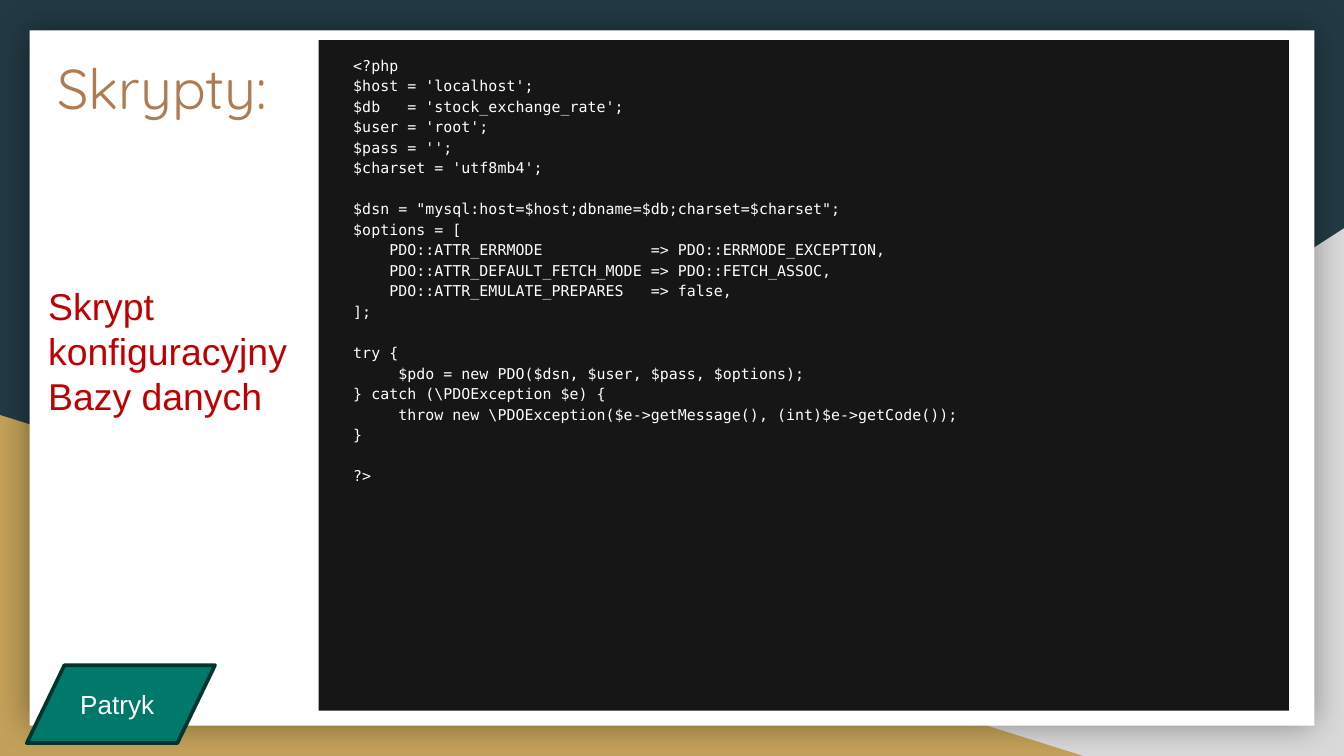
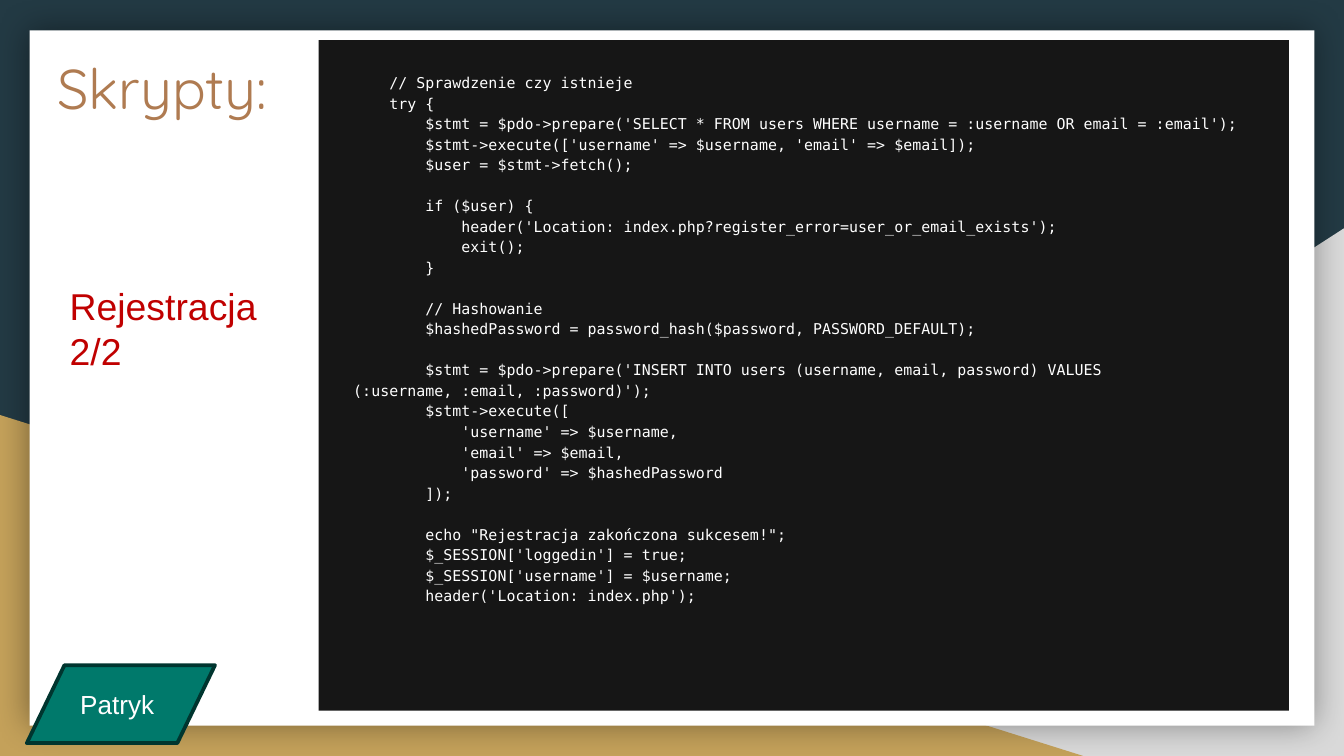
import pptx
import pptx.dml.color
import pptx.enum.shapes
import pptx.enum.text
import pptx.oxml
import pptx.oxml.ns
import pptx.util

RGB = pptx.dml.color.RGBColor
SHAPE = pptx.enum.shapes.MSO_SHAPE
ANCHOR = pptx.enum.text.MSO_ANCHOR
ALIGN = pptx.enum.text.PP_ALIGN
Inches, Pt = pptx.util.Inches, pptx.util.Pt

NAVY = RGB(0x23, 0x3A, 0x44)
GREY = RGB(0xD9, 0xD9, 0xD9)
GOLD = RGB(0xC4, 0xA1, 0x5A)
WHITE = RGB(0xFF, 0xFF, 0xFF)
BRONZE = RGB(0xAF, 0x7B, 0x51)
BLACK = RGB(0x16, 0x16, 0x16)
RED = RGB(0xC0, 0x00, 0x00)
GREEN = RGB(0x00, 0x79, 0x6B)
DARK_GREEN = RGB(0x00, 0x35, 0x2F)

WIDTH, HEIGHT = Inches(10), Inches(5.625)
COLUMNS = ROWS = 100

PAGE = (0, 0, 100, 100)
TITLE = (3.3, 5.3, 19.2, 18.5)
CODE = (23.7, 5.3, 72.2, 88.7)
BADGE = (2, 88, 14, 10.3)

CODE_LINE = Pt(11)
CODE_INDENT = Inches(0.16)
INSET = Inches(0.1)

CONFIG_CODE = [
    r"""
<?php
$host = 'localhost';
$db   = 'stock_exchange_rate';
$user = 'root';
$pass = '';
$charset = 'utf8mb4';
""",
    r"""
$dsn = "mysql:host=$host;dbname=$db;charset=$charset";
$options = [
    PDO::ATTR_ERRMODE            => PDO::ERRMODE_EXCEPTION,
    PDO::ATTR_DEFAULT_FETCH_MODE => PDO::FETCH_ASSOC,
    PDO::ATTR_EMULATE_PREPARES   => false,
];
""",
    r"""
try {
     $pdo = new PDO($dsn, $user, $pass, $options);
} catch (\PDOException $e) {
     throw new \PDOException($e->getMessage(), (int)$e->getCode());
}
""",
    "?>",
]

REGISTER_CODE = [
    r"""
    // Sprawdzenie czy istnieje
    try {
        $stmt = $pdo->prepare('SELECT * FROM users WHERE username = :username OR email = :email');
        $stmt->execute(['username' => $username, 'email' => $email]);
        $user = $stmt->fetch();
""",
    r"""
        if ($user) {
            header('Location: index.php?register_error=user_or_email_exists');
            exit();
        }
""",
    r"""
        // Hashowanie
        $hashedPassword = password_hash($password, PASSWORD_DEFAULT);
""",
    r"""
        $stmt = $pdo->prepare('INSERT INTO users (username, email, password) VALUES (:username, :email, :password)');
        $stmt->execute([
            'username' => $username,
            'email' => $email,
            'password' => $hashedPassword
        ]);
""",
    r"""
        echo "Rejestracja zakończona sukcesem!";
        $_SESSION['loggedin'] = true;
        $_SESSION['username'] = $username;
        header('Location: index.php');
""",
]

SCRIPTS = [
    ("Skrypt konfiguracyjny Bazy danych", (2.6, 36.6, 19.9, 19.7), CONFIG_CODE, INSET),
    ("Rejestracja 2/2", (4.2, 36.6, 18.2, 13.7), REGISTER_CODE, Inches(0.23)),
]


def place(box):
    x, y, w, h = box
    return (round(x * WIDTH / COLUMNS), round(y * HEIGHT / ROWS),
            round(w * WIDTH / COLUMNS), round(h * HEIGHT / ROWS))


def within(box, x, y, w, h):
    left, top, width, height = box
    return (left + x * width / COLUMNS, top + y * height / ROWS,
            w * width / COLUMNS, h * height / ROWS)


def add_filled(slide, kind, box, fill):
    sp = slide.shapes.add_shape(kind, *place(box))
    sp.shadow.inherit = False
    sp.fill.solid()
    sp.fill.fore_color.rgb = fill
    sp.line.fill.background()
    return sp


def set_font(p, name, size, color):
    p.font.name = name
    p.font.size = Pt(size)
    p.font.color.rgb = color


def add_text(slide, box, text, name, size, color):
    tf = slide.shapes.add_textbox(*place(box)).text_frame
    tf.word_wrap = True
    p = tf.paragraphs[0]
    p.text = text
    set_font(p, name, size, color)
    return tf


def add_glow(sp):
    effects = sp._element.spPr.find(pptx.oxml.ns.qn("a:effectLst"))
    effects.append(pptx.oxml.parse_xml(
        f'<a:outerShdw {pptx.oxml.ns.nsdecls("a")} blurRad="{Pt(18)}" dist="0" dir="0">'
        '<a:srgbClr val="000000"><a:alpha val="40000"/></a:srgbClr></a:outerShdw>'))


def add_backdrop(slide, box):
    slide.background.fill.solid()
    slide.background.fill.fore_color.rgb = NAVY
    sp = add_filled(slide, SHAPE.RIGHT_TRIANGLE, within(box, 39.2, 30.2, 60.8, 69.8), GREY)
    sp._element.spPr.xfrm.set("flipH", "1")
    add_filled(slide, SHAPE.RIGHT_TRIANGLE, within(box, 0, 54.9, 80.6, 45.1), GOLD)
    add_glow(add_filled(slide, SHAPE.RECTANGLE, within(box, 2.2, 4, 95.6, 92), WHITE))


def add_title(slide, box):
    tf = add_text(slide, box, "Skrypty:", "Quicksand", 30, BRONZE)
    tf.margin_top = tf.margin_bottom = INSET


def add_heading(slide, box, text):
    tf = add_text(slide, box, text, "Arial", 20, RED)
    tf.auto_size = pptx.enum.text.MSO_AUTO_SIZE.SHAPE_TO_FIT_TEXT


def add_code(slide, box, blocks, top):
    tf = add_filled(slide, SHAPE.RECTANGLE, box, BLACK).text_frame
    tf.word_wrap = True
    tf.vertical_anchor = ANCHOR.TOP
    tf.margin_left = tf.margin_right = tf.margin_bottom = INSET
    tf.margin_top = top
    p = tf.paragraphs[0]
    for b, block in enumerate(blocks):
        for i, line in enumerate(block.strip("\n").split("\n")):
            if b or i:
                p = tf.add_paragraph()
            p.text = line
            p.alignment = ALIGN.LEFT
            p.line_spacing = 1.15
            p.space_before = CODE_LINE if b and i == 0 else Pt(0)
            pPr = p._p.get_or_add_pPr()
            pPr.set("marL", str(CODE_INDENT))
            pPr.set("indent", "0")
            set_font(p, "DejaVu Sans Mono", 8, WHITE)


def add_badge(slide, box):
    sp = add_filled(slide, SHAPE.FLOWCHART_DATA, box, GREEN)
    sp.line.color.rgb = DARK_GREEN
    sp.line.width = Pt(2)
    tf = sp.text_frame
    tf.word_wrap = True
    tf.vertical_anchor = ANCHOR.MIDDLE
    p = tf.paragraphs[0]
    p.text = "Patryk "
    p.alignment = ALIGN.CENTER
    set_font(p, "Arial", 14, WHITE)


def add_script_slide(prs, heading, heading_box, blocks, code_top):
    slide = prs.slides.add_slide(prs.slide_layouts[6])
    add_backdrop(slide, PAGE)
    add_title(slide, TITLE)
    add_code(slide, CODE, blocks, code_top)
    add_heading(slide, heading_box, heading)
    add_badge(slide, BADGE)


def main():
    prs = pptx.Presentation()
    prs.slide_width, prs.slide_height = WIDTH, HEIGHT
    for script in SCRIPTS:
        add_script_slide(prs, *script)
    prs.save("out.pptx")


if __name__ == "__main__":
    main()
